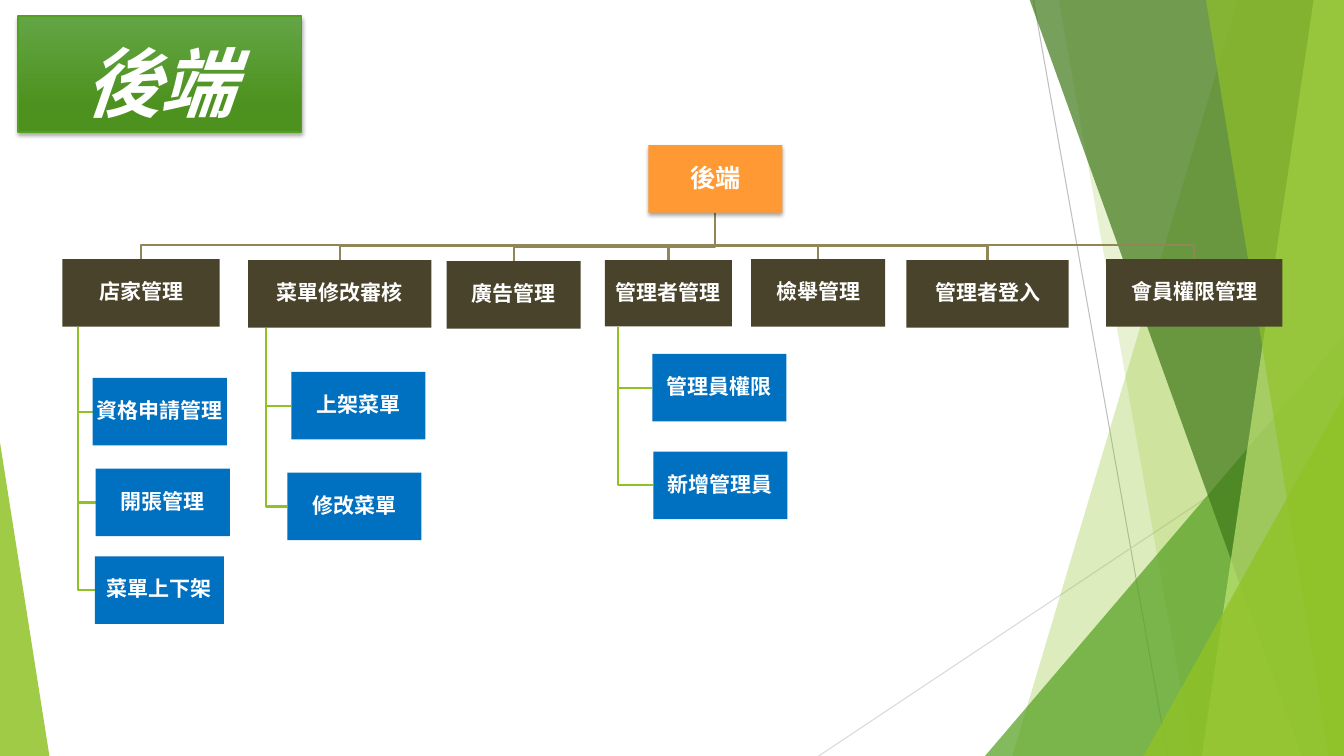
"""Build the back-end organisation chart slide with its faceted green backdrop."""
from dataclasses import dataclass
from typing import Optional

from lxml.etree import SubElement
from pptx import Presentation
from pptx.dml.color import RGBColor as RGB
from pptx.enum.shapes import MSO_CONNECTOR as CONN, MSO_SHAPE as SHAPE
from pptx.enum.text import MSO_ANCHOR as ANCHOR, PP_ALIGN as ALIGN
from pptx.oxml.ns import qn
from pptx.util import Emu, Inches, Pt

Point = tuple[float, float]
COLS, ROWS = 13.33, 7.5
W, H = Inches(COLS), Inches(ROWS)


@dataclass(frozen=True)
class Theme:
    lime: str = "90C226"
    green: str = "54A021"
    forest: str = "3F7819"
    pale: str = "C0E474"
    title_top: str = "63A545"
    title_bottom: str = "4D921E"
    root: str = "FF9933"
    branch: str = "48432A"
    leaf: str = "0070C0"
    trunk: str = "918655"
    white: str = "FFFFFF"
    latin: str = "Karla"
    cjk: str = "Noto Sans CJK TC"
    title_size: int = 54
    root_size: int = 18
    label_size: int = 15
    link_width: float = 1.5
    hair_width: float = 0.75


T = Theme()


@dataclass(frozen=True)
class Box:
    text: str
    left: float
    top: float
    width: float = 1.33
    height: float = 0.67
    leaves: tuple["Box", ...] = ()

    @property
    def centre(self) -> float:
        return self.left + self.width / 2

    @property
    def middle(self) -> float:
        return self.top + self.height / 2

    @property
    def bottom(self) -> float:
        return self.top + self.height


@dataclass(frozen=True)
class Facet:
    color: str
    alpha: int
    points: tuple[Point, ...] = ()
    triangle: tuple[float, ...] = ()
    apex: float = 1


@dataclass(frozen=True)
class Hairline:
    start: Point
    end: Point
    color: str


def blade(top: float, foot: float) -> tuple[Point, ...]:
    return (top, -0.01), (COLS, -0.01), (COLS, ROWS), (foot, ROWS)


HAIRLINES = (
    Hairline((10.25, 0), (11.58, ROWS), "BFBFBF"),
    Hairline((COLS, 4.03), (8.12, ROWS), "D9D9D9"),
)
FACETS = (
    Facet(T.lime, 30, blade(12.28, 10.04)),
    Facet(T.lime, 20, blade(10.5, 11.83)),
    Facet(T.green, 72, triangle=(9.77, 3.33, 3.56, 4.17)),
    Facet(T.forest, 70, blade(10.21, 12.91)),
    Facet(T.pale, 70, blade(13.03, 11.92)),
    Facet(T.lime, 65, blade(11.96, 13.18)),
    Facet(T.lime, 80, triangle=(11.34, 3.93, 1.99, 3.57)),
    Facet(T.lime, 85, triangle=(0, 4.39, 0.49, 3.11), apex=0),
)
TITLE = Box("後端", 0.18, 0.16, 2.81, 1.15)
ROOT = Box("後端", 6.43, 1.44)
BRANCHES = (
    Box("店家管理", 0.62, 2.57, 1.56, leaves=(
        Box("資格申請管理", 0.92, 3.75),
        Box("開張管理", 0.95, 4.65),
        Box("菜單上下架", 0.94, 5.52, 1.28))),
    Box("菜單修改審核", 2.46, 2.58, 1.82, leaves=(
        Box("上架菜單", 2.89, 3.69),
        Box("修改菜單", 2.85, 4.69))),
    Box("廣告管理", 4.43, 2.59),
    Box("管理者管理", 6, 2.58, 1.26, 0.66, leaves=(
        Box("管理員權限", 6.47, 3.51),
        Box("新增管理員", 6.48, 4.48))),
    Box("檢舉管理", 7.45, 2.57),
    Box("管理者登入", 8.99, 2.58, 1.61),
    Box("會員權限管理", 10.97, 2.57, 1.75),
)


def col(n: float) -> Emu:
    return Emu(round(W * n / COLS))


def row(n: float) -> Emu:
    return Emu(round(H * n / ROWS))


def outline(s, points: tuple[Point, ...], close: bool):
    (x, y), *rest = [(col(x), row(y)) for x, y in points]
    fb = s.shapes.build_freeform(x, y)
    fb.add_line_segments(rest, close=close)
    sp = fb.convert_to_shape()
    sp.shadow.inherit = False
    return sp


def preset(s, kind: SHAPE, left: float, top: float, width: float, height: float):
    sp = s.shapes.add_shape(kind, col(left), row(top), col(width), row(height))
    sp.shadow.inherit = False
    return sp


def add_hairline(s, line: Hairline) -> None:
    cx = s.shapes.add_connector(CONN.STRAIGHT, col(line.start[0]), row(line.start[1]),
                                col(line.end[0]), row(line.end[1]))
    cx.line.color.rgb = RGB.from_string(line.color)
    cx.line.width = Pt(T.hair_width)
    SubElement(cx._element.spPr, qn("a:effectLst"))


def add_facet(s, facet: Facet) -> None:
    if facet.triangle:
        sp = preset(s, SHAPE.ISOSCELES_TRIANGLE, *facet.triangle)
        sp.adjustments[0] = facet.apex
    else:
        sp = outline(s, facet.points, True)
    sp.fill.solid()
    sp.fill.fore_color.rgb = RGB.from_string(facet.color)
    color = sp._element.spPr.find(qn("a:solidFill")).find(qn("a:srgbClr"))
    SubElement(color, qn("a:alpha"), val=str(facet.alpha * 1000))
    sp.line.fill.background()


def add_link(s, points: tuple[Point, ...], color: str) -> None:
    sp = outline(s, points, False)
    sp.fill.background()
    sp.line.color.rgb = RGB.from_string(color)
    sp.line.width = Pt(T.link_width)


def add_shadow(sp) -> None:
    effects = sp._element.spPr.find(qn("a:effectLst"))
    shadow = SubElement(effects, qn("a:outerShdw"), blurRad=str(Pt(3)), dist=str(Pt(2)),
                        dir="5400000", algn="ctr", rotWithShape="0")
    color = SubElement(shadow, qn("a:srgbClr"), val="000000")
    SubElement(color, qn("a:alpha"), val="35000")


def add_box(s, box: Box, size: int, fill: Optional[str] = None, latin: str = T.latin):
    sp = preset(s, SHAPE.RECTANGLE, box.left, box.top, box.width, box.height)
    if fill:
        sp.fill.solid()
        sp.fill.fore_color.rgb = RGB.from_string(fill)
    sp.line.fill.background()
    tf = sp.text_frame
    tf.word_wrap = True
    tf.vertical_anchor = ANCHOR.MIDDLE
    tf.margin_left = tf.margin_right = col(0.01)
    tf.margin_top = tf.margin_bottom = row(0.01)
    p = tf.paragraphs[0]
    p.text = box.text
    p.alignment = ALIGN.CENTER
    p.line_spacing = 0.9
    p.font.size, p.font.bold, p.font.name = Pt(size), True, latin
    p.font.color.rgb = RGB.from_string(T.white)
    SubElement(p.font._rPr, qn("a:ea"), typeface=T.cjk)
    return sp


def add_title(s) -> None:
    sp = add_box(s, TITLE, T.title_size, latin=T.cjk)
    sp.fill.gradient()
    sp.fill.gradient_angle = 270
    stops = ((0, T.title_top), (0.78, T.title_bottom))
    for stop, (position, color) in zip(sp.fill.gradient_stops, stops):
        stop.position, stop.color.rgb = position, RGB.from_string(color)
    sp.line.color.rgb = RGB.from_string(T.green)
    sp.line.width = Pt(1)
    add_shadow(sp)
    tf = sp.text_frame
    tf.vertical_anchor = ANCHOR.BOTTOM
    tf.margin_left = tf.margin_right = col(0.1)
    tf.margin_top = tf.margin_bottom = row(0.05)
    p = tf.paragraphs[0]
    p.line_spacing, p.font.italic = 1.0, True


def add_tree(s) -> None:
    for branch in BRANCHES:
        bus = branch.top - 0.14
        add_link(s, ((ROOT.centre, ROOT.bottom), (ROOT.centre, bus),
                     (branch.centre, bus), (branch.centre, branch.top)), T.trunk)
        stem = branch.left + branch.width / 10
        for leaf in branch.leaves:
            add_link(s, ((stem, branch.bottom), (stem, leaf.middle),
                         (leaf.left, leaf.middle)), T.lime)
    add_shadow(add_box(s, ROOT, T.root_size, T.root))
    for branch in BRANCHES:
        add_box(s, branch, T.label_size, T.branch)
        for leaf in branch.leaves:
            add_box(s, leaf, T.label_size, T.leaf)


def main() -> None:
    prs = Presentation()
    prs.slide_width, prs.slide_height = W, H
    s = prs.slides.add_slide(prs.slide_layouts[6])
    for line in HAIRLINES:
        add_hairline(s, line)
    for facet in FACETS:
        add_facet(s, facet)
    add_title(s)
    add_tree(s)
    prs.save("out.pptx")


if __name__ == "__main__":
    main()
